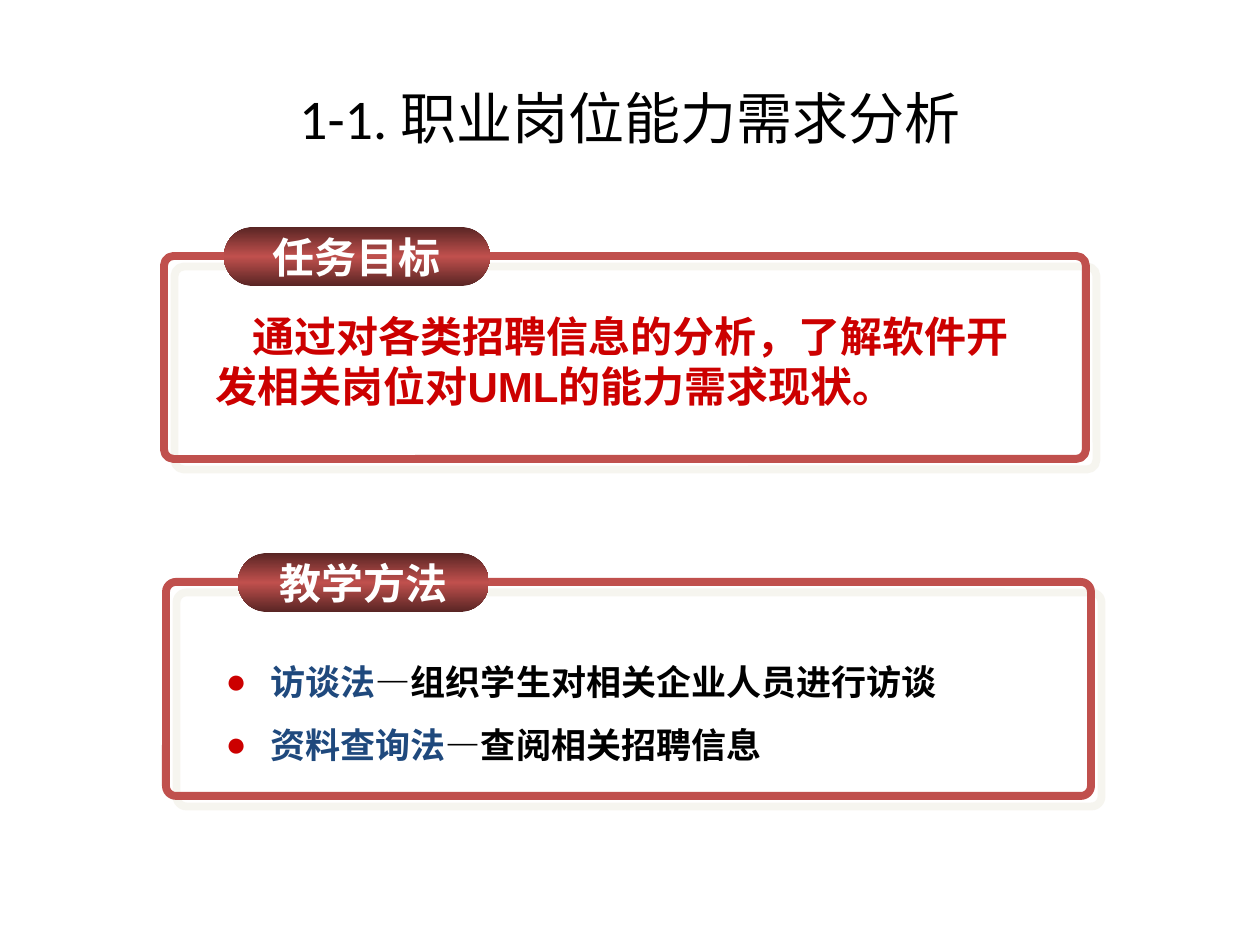
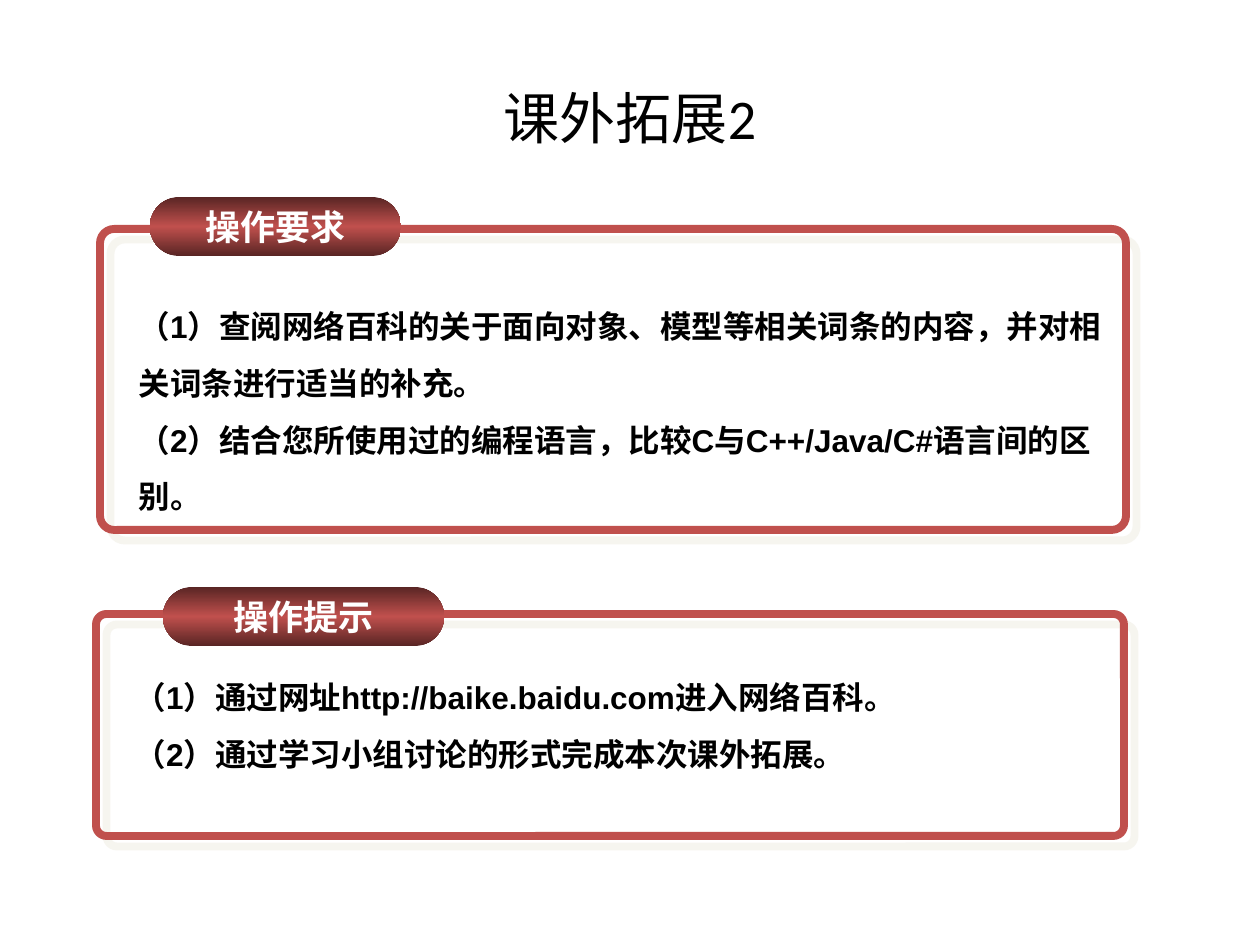
from copy import deepcopy

from pptx import Presentation
from pptx.dml.color import RGBColor
from pptx.enum.shapes import MSO_SHAPE as Shape
from pptx.enum.text import MSO_ANCHOR as Anchor, MSO_AUTO_SIZE as AutoSize, PP_ALIGN as Align
from pptx.oxml.ns import qn
from pptx.oxml.xmlchemy import OxmlElement
from pptx.util import Emu, Inches, Pt

PX_PER_INCH = 126
TWO_CONTENT_LAYOUT = 3

BLACK = RGBColor(0x00, 0x00, 0x00)
WHITE = RGBColor(0xFF, 0xFF, 0xFF)
RED = RGBColor(0xCC, 0x00, 0x00)
NAVY = RGBColor(0x1F, 0x49, 0x7D)
BRICK = RGBColor(0xC0, 0x50, 0x4D)
DARK_BRICK = RGBColor(0x59, 0x25, 0x24)
SHADOW = RGBColor(0xEE, 0xEC, 0xE1)

TITLE_FONT = "Calibri"
BODY_FONT = "Arial"
CHINESE_FONT = "Noto Sans CJK SC"

TITLE_BOX = (63, 38, 1134, 158)
TAB_HEIGHT = 59


def px(length):
    """Turn a length in px into EMU."""
    return Emu(round(length * Inches(1) / PX_PER_INCH))


def add_element(parent, tag, **attributes):
    """Append an XML element with the given attributes."""
    element = OxmlElement(tag)
    for name, value in attributes.items():
        element.set(name, str(value))
    parent.append(element)
    return element


def place(shape, box):
    """Move and size a shape to a px box."""
    shape.left, shape.top, shape.width, shape.height = map(px, box)


def style_paragraph(paragraph, size, color, latin=BODY_FONT, bold=True):
    """Set the font of a whole paragraph."""
    font = paragraph.font
    font.size, font.bold, font.name = Pt(size), bold, latin
    font.color.rgb = color
    defaults = paragraph._p.get_or_add_pPr().find(qn("a:defRPr"))
    add_element(defaults, "a:ea", typeface=CHINESE_FONT)


def set_title(slide, text):
    """Fill the title placeholder."""
    title = slide.shapes.title
    place(title, TITLE_BOX)
    title.text_frame.text = text
    title.text_frame.vertical_anchor = Anchor.MIDDLE
    paragraph = title.text_frame.paragraphs[0]
    paragraph.alignment = Align.CENTER
    style_paragraph(paragraph, 32, BLACK, TITLE_FONT, bold=False)


def set_bullet(paragraph, bullet, left, indent):
    """Set the bullet, if any, and the indents of a paragraph."""
    properties = paragraph._p.get_or_add_pPr()
    properties.set("marL", str(px(left)))
    properties.set("indent", str(px(indent)))
    if bullet:
        color = add_element(properties, "a:buClr")
        add_element(color, "a:srgbClr", val=RED)
        add_element(properties, "a:buChar", char=bullet)
    else:
        add_element(properties, "a:buNone")


def fill_body(body, box, lines, size, color=BLACK, spacing=1.5, bullet=None, left=0, indent=0):
    """Fill a body placeholder; a line is a text or a (term, explanation) pair."""
    place(body, box)
    frame = body.text_frame
    frame.word_wrap, frame.auto_size = True, AutoSize.NONE
    for index, line in enumerate(lines):
        paragraph = frame.add_paragraph() if index else frame.paragraphs[0]
        paragraph.line_spacing, paragraph.space_before = spacing, Pt(0)
        set_bullet(paragraph, bullet, left, indent)
        style_paragraph(paragraph, size, color)
        if isinstance(line, str):
            paragraph.add_run().text = line
            continue
        for text, run_color in zip(line, (NAVY, color)):
            run = paragraph.add_run()
            run.text = text
            run.font.color.rgb = run_color


def add_frame(slide, box):
    """Add a rounded outline with a pale offset shadow."""
    frame = slide.shapes.add_shape(Shape.ROUNDED_RECTANGLE, *map(px, box))
    frame.adjustments[0] = 0.047
    frame.fill.background()
    frame.line.color.rgb = BRICK
    frame.line.width = Pt(4.5)
    frame.shadow.inherit = False
    effects = frame._element.spPr.find(qn("a:effectLst"))
    shadow = add_element(effects, "a:outerShdw", dist=Pt(8.5), dir=45 * 60000,
                         algn="ctr", rotWithShape=0)
    color = add_element(shadow, "a:srgbClr", val=SHADOW)
    add_element(color, "a:alpha", val=50000)


def fill_gradient(shape):
    """Fill a shape from dark at both edges to bright in the middle."""
    fill = shape.fill
    fill.gradient()
    fill.gradient_angle = 90
    stops = shape._element.spPr.find(".//" + qn("a:gsLst"))
    stops.append(deepcopy(stops[0]))
    for index, color in enumerate((DARK_BRICK, BRICK, DARK_BRICK)):
        stop = fill.gradient_stops[index]
        stop.position, stop.color.rgb = index / 2, color


def add_tab(slide, left, top, width, text, size):
    """Add a pill-shaped heading."""
    tab = slide.shapes.add_shape(Shape.ROUNDED_RECTANGLE, *map(px, (left, top, width, TAB_HEIGHT)))
    tab.adjustments[0] = 0.5
    tab.shadow.inherit = False
    tab.line.fill.background()
    fill_gradient(tab)
    frame = tab.text_frame
    frame.text = text
    frame.word_wrap, frame.vertical_anchor = False, Anchor.MIDDLE
    paragraph = frame.paragraphs[0]
    paragraph.alignment = Align.CENTER
    style_paragraph(paragraph, size, WHITE, CHINESE_FONT)


def add_panel(slide, frame_box, tab_place, heading, heading_size):
    """Add a frame with its heading tab."""
    add_frame(slide, frame_box)
    add_tab(slide, *tab_place, heading, heading_size)


def add_slide(presentation, title):
    """Add a titled slide and return it with its two body placeholders."""
    slide = presentation.slides.add_slide(presentation.slide_layouts[TWO_CONTENT_LAYOUT])
    set_title(slide, title)
    return slide, slide.placeholders[1], slide.placeholders[2]


def build_analysis_slide(presentation):
    """Build the slide with the task goal and the teaching methods."""
    slide, goal, methods = add_slide(presentation, "1-1. 职业岗位能力需求分析")
    add_panel(slide, (164, 256, 922, 203), (224, 227, 266), "任务目标", 24)
    fill_body(goal, (203, 304, 852, 113),
              ["通过对各类招聘信息的分析，了解软件开发相关岗位对UML的能力需求现状。"],
              24, RED, spacing=1, indent=37)
    add_panel(slide, (166, 582, 925, 214), (238, 553, 251), "教学方法", 24)
    fill_body(methods, (213, 633, 874, 139),
              [("访谈法", "—组织学生对相关企业人员进行访谈"),
               ("资料查询法", "—查阅相关招聘信息")],
              20, bullet="●", left=45, indent=-45)


def build_extension_slide(presentation):
    """Build the slide with the exercise and its hints."""
    slide, requirements, hints = add_slide(presentation, "课外拓展2")
    add_panel(slide, (100, 229, 1026, 301), (150, 197, 251), "操作要求", 20)
    fill_body(requirements, (126, 282, 992, 239),
              ["（1）查阅网络百科的关于面向对象、模型等相关词条的内容，并对相关词条进行适当的补充。",
               "（2）结合您所使用过的编程语言，比较C与C++/Java/C#语言间的区别。"], 18)
    add_panel(slide, (96, 614, 1028, 222), (163, 587, 281), "操作提示", 20)
    fill_body(hints, (122, 653, 1004, 126),
              ["（1）通过网址http://baike.baidu.com进入网络百科。",
               "（2）通过学习小组讨论的形式完成本次课外拓展。"], 18)


def main():
    """Build and save the presentation."""
    presentation = Presentation()
    presentation.slide_width, presentation.slide_height = Inches(10), Inches(7.5)
    build_analysis_slide(presentation)
    build_extension_slide(presentation)
    presentation.save("out.pptx")


if __name__ == "__main__":
    main()
